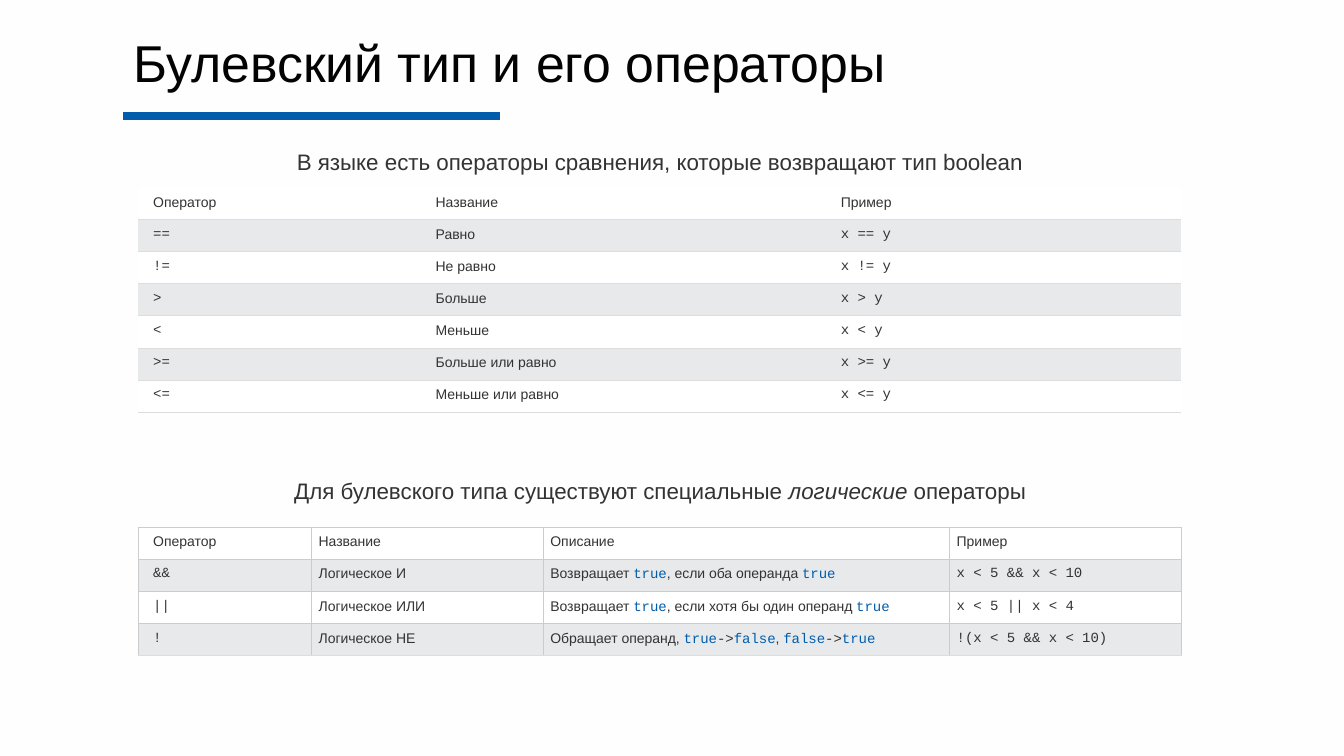
from dataclasses import dataclass
from enum import Enum
from typing import Optional

from lxml import etree
from pptx import Presentation
from pptx.dml.color import RGBColor
from pptx.enum import shapes, text
from pptx.oxml import ns
from pptx.util import Cm, Pt


@dataclass(frozen=True)
class Theme:
    background: str = "FEFEFE"
    title: str = "020302"
    body: str = "323332"
    accent: str = "015DAC"
    row_fills: tuple[str, str] = ("FFFFFF", "E7E9EB")
    grid: str = "CCCCCC"
    rule: str = "DDDDDD"
    text_font: str = "Arial"
    code_font: str = "Courier New"
    title_size: float = 37
    caption_size: float = 16
    table_size: float = 10


THEME = Theme()


class Style(Enum):
    PLAIN = "plain"
    EMPHASIS = "emphasis"
    CODE = "code"
    KEYWORD = "keyword"


@dataclass(frozen=True)
class Piece:
    """A stretch of text in one style."""
    words: str
    style: Style = Style.PLAIN


Line = list[Piece]


def plain(words: str) -> Line:
    return [Piece(words)]


def code(words: str) -> Line:
    return [Piece(words, Style.CODE)]


def keyword(words: str) -> Line:
    return [Piece(words, Style.KEYWORD)]


@dataclass(frozen=True)
class Caption:
    top: float
    line: Line


@dataclass(frozen=True)
class OperatorTable:
    top: float
    widths: list[float]
    rows: list[list[Line]]
    grid: Optional[str]
    rule: str


LEFT, WIDTH = 3.12, 27.03
TABLE_LEFT, ROW_HEIGHT = 3.48, 0.81
CELL_MARGIN, FIRST_MARGIN = 0.18, 0.38

CAPTIONS = [
    Caption(3.61, plain("В языке есть операторы сравнения, которые возвращают тип boolean")),
    Caption(11.89, plain("Для булевского типа существуют специальные ")
            + [Piece("логические", Style.EMPHASIS)] + plain(" операторы")),
]

COMPARISONS = {
    "==": "Равно",
    "!=": "Не равно",
    ">": "Больше",
    "<": "Меньше",
    ">=": "Больше или равно",
    "<=": "Меньше или равно",
}

TABLES = [
    OperatorTable(
        4.72, [7.32, 10.21, 8.76],
        [[plain("Оператор"), plain("Название"), plain("Пример")]]
        + [[code(sign), plain(name), code(f"x {sign} y")] for sign, name in COMPARISONS.items()],
        grid=None, rule=THEME.rule),
    OperatorTable(
        13.28, [4.37, 5.84, 10.24, 5.84],
        [
            [plain("Оператор"), plain("Название"), plain("Описание"), plain("Пример")],
            [code("&&"), plain("Логическое И"),
             plain("Возвращает ") + keyword("true") + plain(", если оба операнда ") + keyword("true"),
             code("x < 5 && x < 10")],
            [code("||"), plain("Логическое ИЛИ"),
             plain("Возвращает ") + keyword("true") + plain(", если хотя бы один операнд ")
             + keyword("true"),
             code("x < 5 || x < 4")],
            [code("!"), plain("Логическое НЕ"),
             plain("Обращает операнд, ") + keyword("true") + code("->") + keyword("false")
             + plain(", ") + keyword("false") + code("->") + keyword("true"),
             code("!(x < 5 && x < 10)")],
        ],
        grid=THEME.grid, rule=THEME.grid),
]


def color(value: str) -> RGBColor:
    return RGBColor.from_string(value)


def write_line(paragraph, line: Line, size: float) -> None:
    for piece in line:
        run = paragraph.add_run()
        run.text = piece.words
        font = run.font
        is_code = piece.style in (Style.CODE, Style.KEYWORD)
        font.name = THEME.code_font if is_code else THEME.text_font
        font.size = Pt(size)
        font.italic = piece.style is Style.EMPHASIS
        font.color.rgb = color(THEME.accent if piece.style is Style.KEYWORD else THEME.body)


def set_borders(cell, sides: dict[str, Optional[str]]) -> None:
    """Draw each named side in its colour, or clear it when the colour is None."""
    properties = cell._tc.get_or_add_tcPr()
    for index, side in enumerate(("L", "R", "T", "B")):
        border = etree.Element(ns.qn(f"a:ln{side}"), w=str(Pt(0.75)))
        if sides[side]:
            fill = etree.SubElement(border, ns.qn("a:solidFill"))
            etree.SubElement(fill, ns.qn("a:srgbClr"), val=sides[side])
        else:
            etree.SubElement(border, ns.qn("a:noFill"))
        properties.insert(index, border)


def add_title(slide) -> None:
    title = slide.shapes.title
    title.left, title.top, title.width, title.height = Cm(LEFT), Cm(0.99), Cm(WIDTH), Cm(1.52)
    frame = title.text_frame
    frame.text = "Булевский тип и его операторы"
    frame.auto_size = text.MSO_AUTO_SIZE.NONE
    frame.vertical_anchor = text.MSO_ANCHOR.MIDDLE
    paragraph = frame.paragraphs[0]
    paragraph.alignment = text.PP_ALIGN.LEFT
    paragraph.line_spacing = 0.7
    font = paragraph.runs[0].font
    font.name, font.size = THEME.text_font, Pt(THEME.title_size)
    font.color.rgb = color(THEME.title)


def add_title_rule(slide) -> None:
    rule = slide.shapes.add_connector(
        shapes.MSO_CONNECTOR.STRAIGHT, Cm(3.1), Cm(2.92), Cm(12.6), Cm(2.92))
    rule.line.color.rgb = color(THEME.accent)
    rule.line.width = Pt(6)
    etree.SubElement(rule._element.spPr, ns.qn("a:effectLst"))


def add_caption(slide, caption: Caption) -> None:
    box = slide.shapes.add_textbox(Cm(LEFT), Cm(caption.top), Cm(WIDTH), Cm(0.94))
    frame = box.text_frame
    frame.word_wrap = True
    frame.margin_left = frame.margin_right = frame.margin_top = frame.margin_bottom = Cm(0.13)
    frame.paragraphs[0].alignment = text.PP_ALIGN.CENTER
    write_line(frame.paragraphs[0], caption.line, THEME.caption_size)


def add_operator_table(slide, content: OperatorTable) -> None:
    count = len(content.rows)
    table = slide.shapes.add_table(
        count, len(content.widths), Cm(TABLE_LEFT), Cm(content.top),
        Cm(sum(content.widths)), Cm(ROW_HEIGHT * count)).table
    table.first_row = table.horz_banding = False
    for column, width in zip(table.columns, content.widths):
        column.width = Cm(width)
    for row_index, lines in enumerate(content.rows):
        table.rows[row_index].height = Cm(ROW_HEIGHT)
        for column_index, line in enumerate(lines):
            cell = table.cell(row_index, column_index)
            cell.margin_left = Cm(CELL_MARGIN if column_index else FIRST_MARGIN)
            cell.margin_right = cell.margin_top = cell.margin_bottom = Cm(CELL_MARGIN)
            cell.fill.solid()
            cell.fill.fore_color.rgb = color(THEME.row_fills[row_index % 2])
            set_borders(cell, {
                "L": content.grid,
                "R": content.grid,
                "T": content.rule if row_index else content.grid,
                "B": content.rule if row_index < count - 1 else THEME.rule,
            })
            write_line(cell.text_frame.paragraphs[0], line, THEME.table_size)


def main() -> None:
    presentation = Presentation()
    presentation.slide_width, presentation.slide_height = Cm(33.87), Cm(19.05)
    slide = presentation.slides.add_slide(presentation.slide_layouts.get_by_name("Title Only"))
    slide.background.fill.solid()
    slide.background.fill.fore_color.rgb = color(THEME.background)
    add_title_rule(slide)
    add_title(slide)
    for caption in CAPTIONS:
        add_caption(slide, caption)
    for content in TABLES:
        add_operator_table(slide, content)
    presentation.save("out.pptx")


if __name__ == "__main__":
    main()
